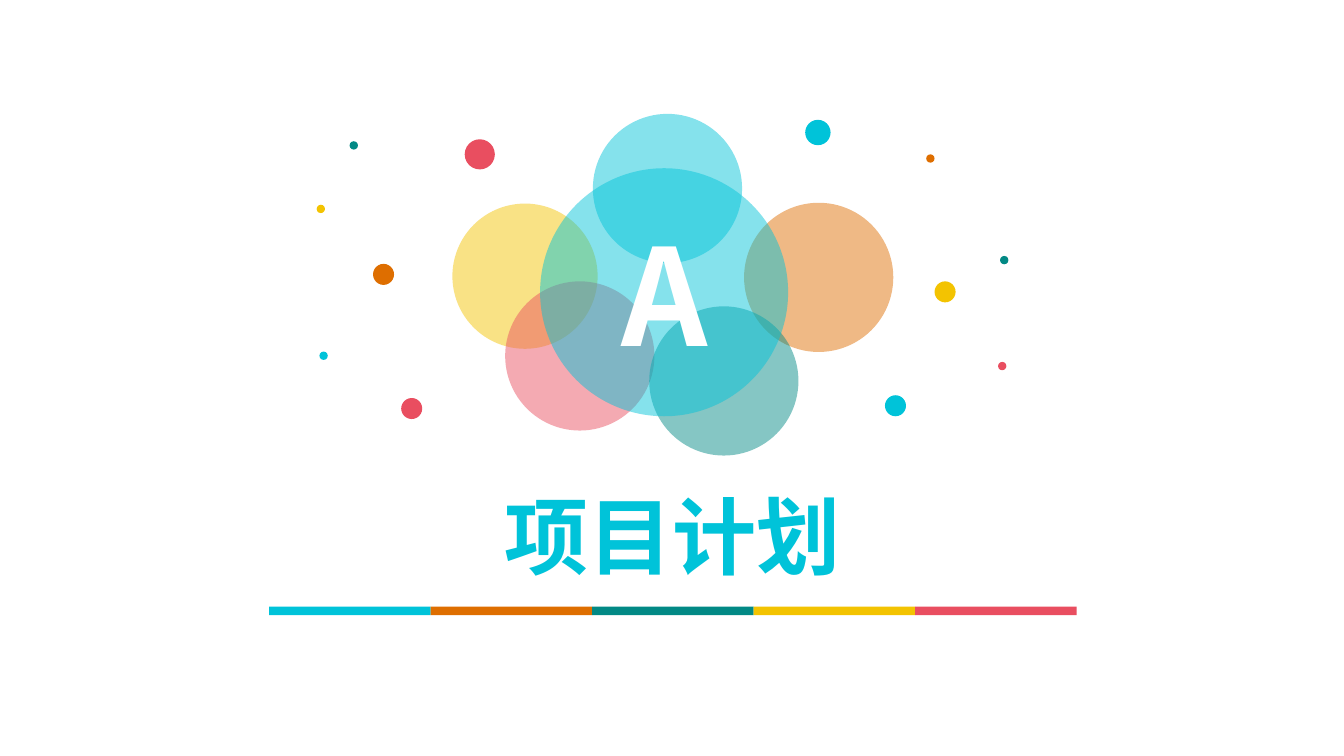
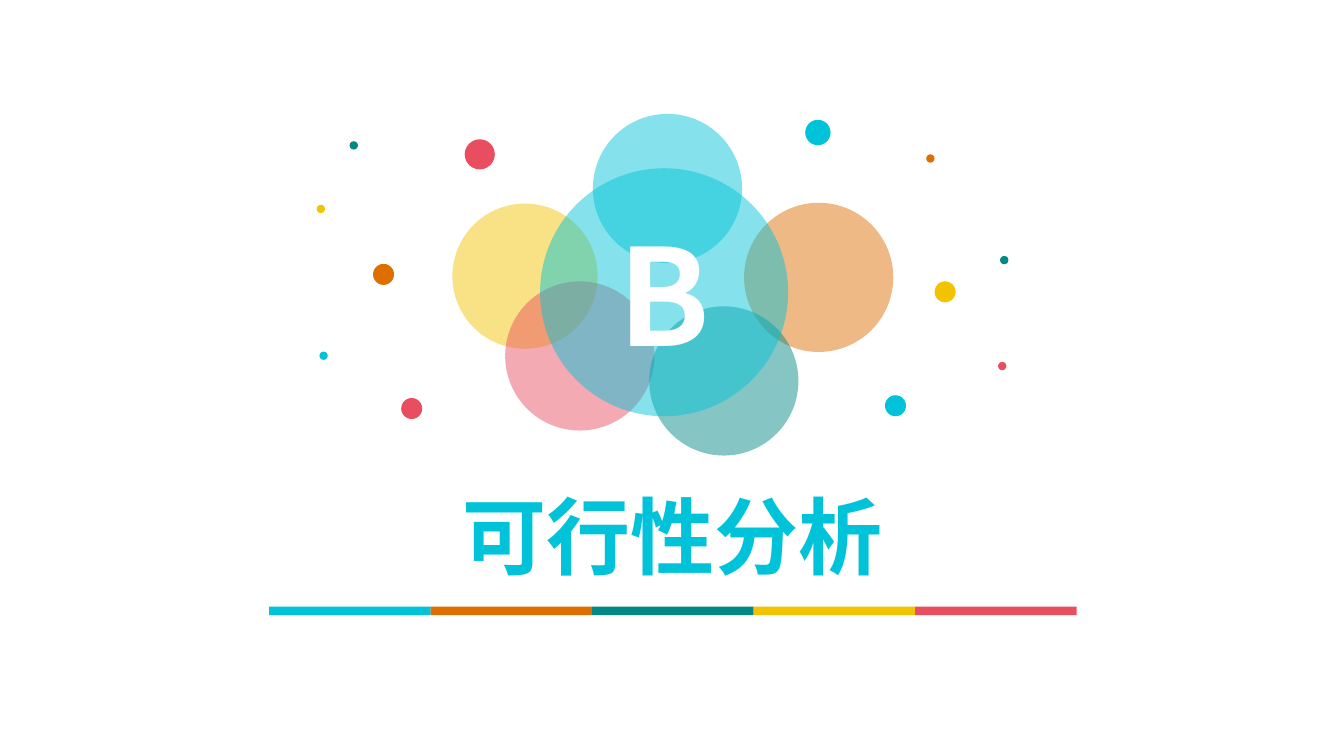
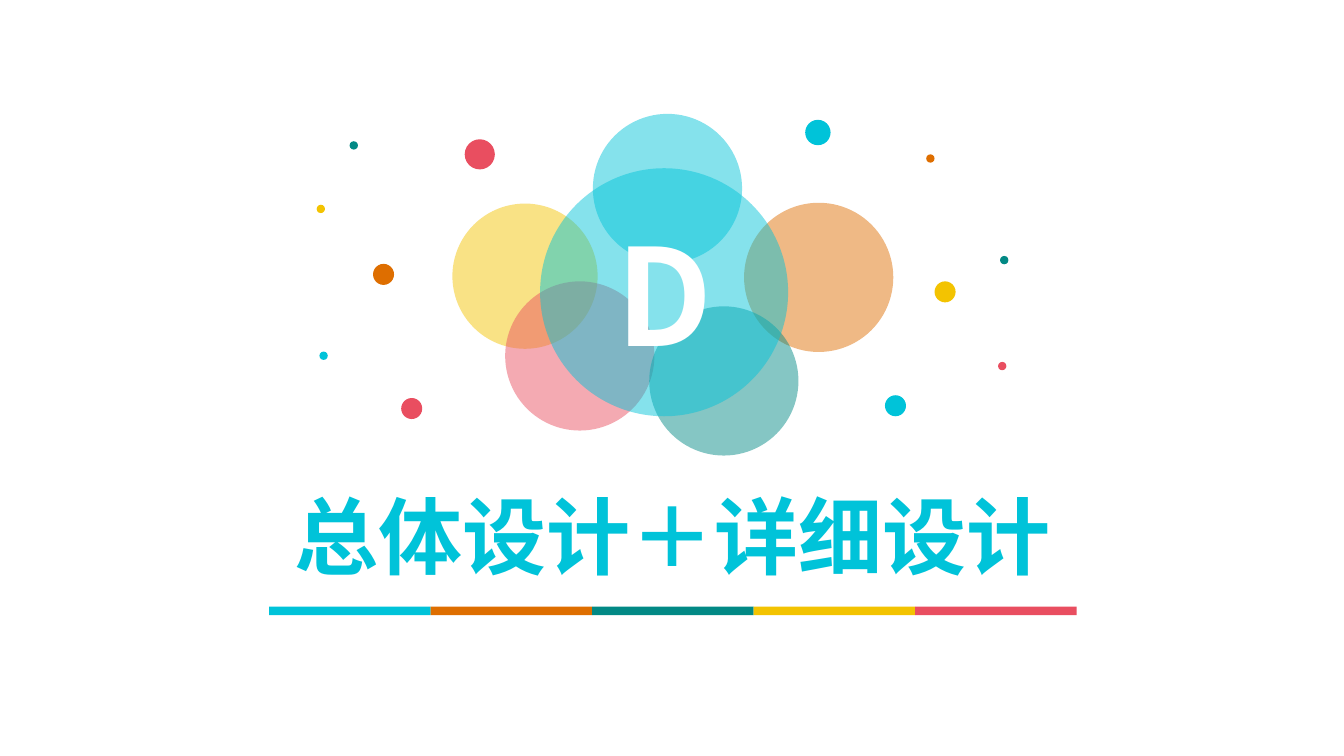
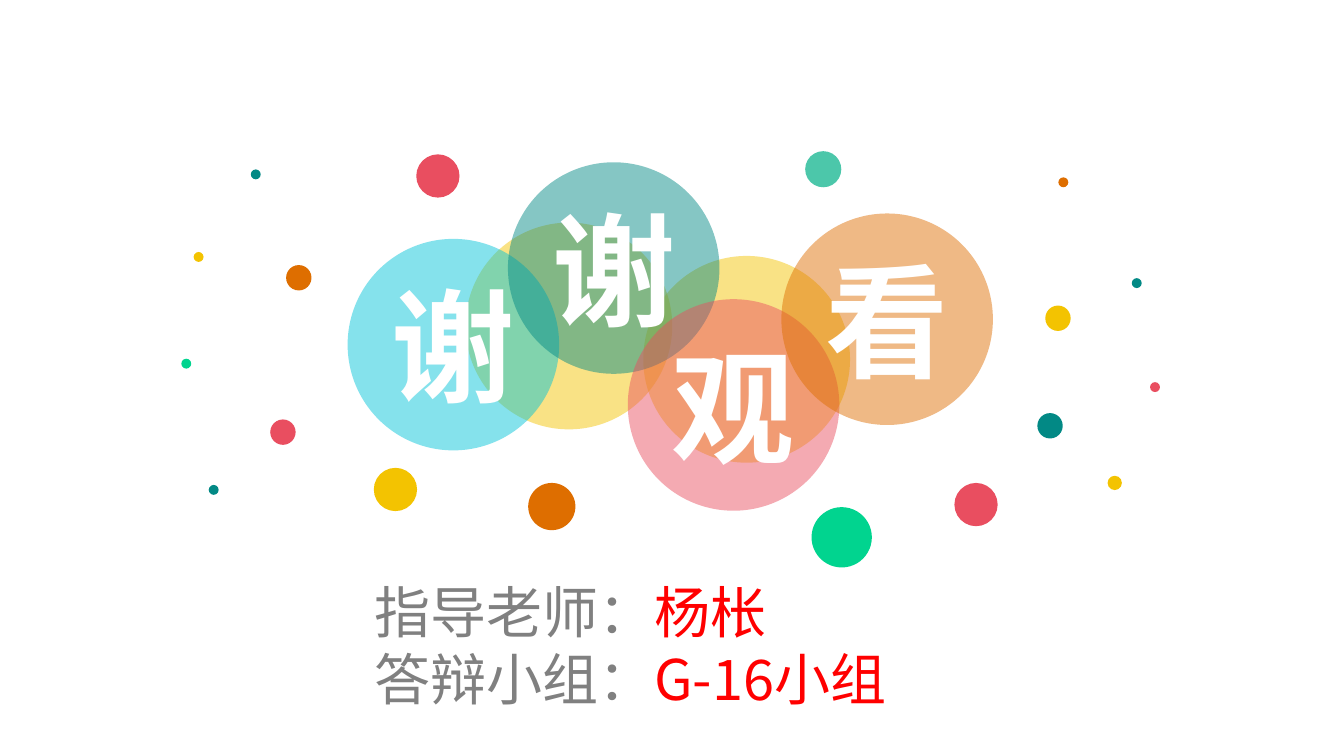
from lxml import etree
from pptx import Presentation
from pptx import util as u
from pptx.dml.color import RGBColor
from pptx.enum import shapes, text
from pptx.oxml.ns import qn

FONT = "Noto Sans CJK SC"
COLORS = {
    "cyan": "00C3D9", "orange": "DE6E00", "teal": "028985",
    "yellow": "F3C301", "pink": "E94E60", "mint": "4CC7AA",
    "green": "01D48F", "white": "FFFFFF", "grey": "808080", "red": "FF0000",
}
BAND = ("cyan", "orange", "teal", "yellow", "pink")

# Circles: left, top, diameter in cm, colour
SECTION_DOTS = [
    (7.98, 5.16, 0.21, "yellow"), (20.29, 3.02, 0.64, "cyan"),
    (11.71, 3.51, 0.76, "pink"), (9.4, 6.65, 0.53, "orange"),
    (8.81, 3.56, 0.21, "teal"), (10.11, 10.03, 0.53, "pink"),
    (8.05, 8.86, 0.21, "cyan"), (23.55, 7.09, 0.53, "yellow"),
    (23.34, 3.89, 0.21, "orange"), (25.2, 6.45, 0.21, "teal"),
    (22.3, 9.96, 0.53, "cyan"), (25.15, 9.12, 0.21, "pink"),
]
SECTION_PETALS = [
    (11.4, 5.13, 3.66, "yellow"), (12.73, 7.09, 3.76, "pink"),
    (14.94, 2.87, 3.76, "cyan"), (18.75, 5.11, 3.76, "orange"),
    (16.36, 7.72, 3.76, "teal"),
]
CLOSING_DOTS = [
    (20.29, 3.81, 0.91, "mint"), (20.45, 12.78, 1.52, "green"),
    (10.49, 3.89, 1.09, "pink"), (13.31, 12.17, 1.19, "orange"),
    (7.21, 6.68, 0.64, "orange"), (6.32, 4.27, 0.25, "teal"),
    (4.88, 6.35, 0.25, "yellow"), (9.42, 11.79, 1.09, "yellow"),
    (6.81, 10.57, 0.64, "pink"), (4.57, 9.04, 0.25, "green"),
    (5.26, 12.22, 0.25, "teal"), (26.34, 7.7, 0.64, "yellow"),
    (26.67, 4.47, 0.25, "orange"), (28.52, 7.01, 0.25, "teal"),
    (24.05, 12.17, 1.09, "pink"), (26.14, 10.41, 0.64, "teal"),
    (28.98, 9.63, 0.25, "pink"), (27.91, 11.99, 0.36, "yellow"),
]
CLOSING_PETALS = [
    (11.73, 5.61, 5.21, "yellow"), (16.21, 6.45, 5.21, "yellow"),
    (8.76, 6.02, 5.33, "cyan", "谢"), (12.8, 4.09, 5.33, "teal", "谢"),
    (15.82, 7.54, 5.33, "pink", "观"), (19.69, 5.38, 5.33, "orange", "看"),
]


def add_text(p, words, size=40, color="white", bold=False, align=None):
    """Append a formatted run to a paragraph."""
    if align is not None:
        p.alignment = align
    r = p.add_run()
    r.text = words
    r.font.size, r.font.bold, r.font.name = u.Pt(size), bold, FONT
    r.font.color.rgb = RGBColor.from_string(COLORS[color])
    latin = r.font._element.find(qn("a:latin"))
    ea = etree.Element(qn("a:ea"), typeface=FONT)
    latin.addnext(ea)


class Deck:
    """Shared style and the slide being built."""

    def __init__(self):
        self.prs = Presentation()
        self.prs.slide_width, self.prs.slide_height = u.Inches(13.333), u.Inches(7.5)
        self.slide = None

    def new_slide(self, layout):
        self.slide = self.prs.slides.add_slide(self.prs.slide_layouts[layout])

    def shape(self, kind, left, top, width, height, color, alpha=None, parent=None):
        parent = self.slide.shapes if parent is None else parent
        sp = parent.add_shape(kind, u.Cm(left), u.Cm(top), u.Cm(width), u.Cm(height))
        sp.shadow.inherit = False
        sp.fill.solid()
        sp.fill.fore_color.rgb = RGBColor.from_string(COLORS[color])
        sp.line.fill.background()
        if alpha is not None:
            clr = sp._element.spPr.find(qn("a:solidFill")).find(qn("a:srgbClr"))
            etree.SubElement(clr, qn("a:alpha"), val=str(alpha * 1000))
        return sp

    def dot(self, left, top, size, color):
        self.shape(shapes.MSO_SHAPE.OVAL, left, top, size, size, color)

    def petal(self, left, top, size, color, letter=None, pt=88):
        """A translucent circle, with an optional large letter."""
        sp = self.shape(shapes.MSO_SHAPE.OVAL, left, top, size, size, color, alpha=48)
        if letter:
            tf = sp.text_frame
            tf.vertical_anchor = text.MSO_ANCHOR.MIDDLE
            add_text(tf.paragraphs[0], letter, size=pt, bold=True,
                     align=text.PP_ALIGN.CENTER)

    def band(self, left=6.78, top=15.29, width=4.07, height=0.21):
        """The row of coloured bars under the title."""
        group = self.slide.shapes.add_group_shape()
        for i, color in enumerate(BAND):
            self.shape(shapes.MSO_SHAPE.RECTANGLE, left + i * width, top,
                       width, height, color, parent=group.shapes)

    def title(self, words):
        sp = self.slide.shapes.title
        sp.left, sp.top, sp.width, sp.height = map(u.Cm, (4.45, 12.55, 24.99, 1.88))
        tf = sp.text_frame
        tf.word_wrap, tf.auto_size = True, text.MSO_AUTO_SIZE.NONE
        tf.vertical_anchor = text.MSO_ANCHOR.MIDDLE
        add_text(tf.paragraphs[0], words, size=60, color="cyan", bold=True,
                 align=text.PP_ALIGN.CENTER)

    def credits(self, rows):
        """Lines made of a grey label and a red value."""
        sp = self.slide.shapes.add_textbox(*map(u.Cm, (9.19, 14.43, 16.92, 3.68)))
        tf = sp.text_frame
        tf.word_wrap = True
        for i, (label, value) in enumerate(rows):
            p = tf.add_paragraph() if i else tf.paragraphs[0]
            add_text(p, label, color="grey")
            add_text(p, value, color="red")

    def section(self, letter, words):
        self.new_slide(5)
        for dot in SECTION_DOTS:
            self.dot(*dot)
        for petal in SECTION_PETALS:
            self.petal(*petal)
        self.petal(13.61, 4.24, 6.25, "cyan", letter, pt=96)
        self.band()
        self.title(words)

    def closing(self):
        self.new_slide(6)
        for petal in CLOSING_PETALS:
            self.petal(*petal)
        for dot in CLOSING_DOTS:
            self.dot(*dot)
        self.credits([("指导老师：", "杨枨"), ("答辩小组：", "G-16小组")])


def main():
    deck = Deck()
    # Section dividers
    for letter, words in (("A", "项目计划"), ("B", "可行性分析"),
                          ("D", "总体设计＋详细设计")):
        deck.section(letter, words)
    # Thanks
    deck.closing()
    deck.prs.save("out.pptx")


if __name__ == "__main__":
    main()
